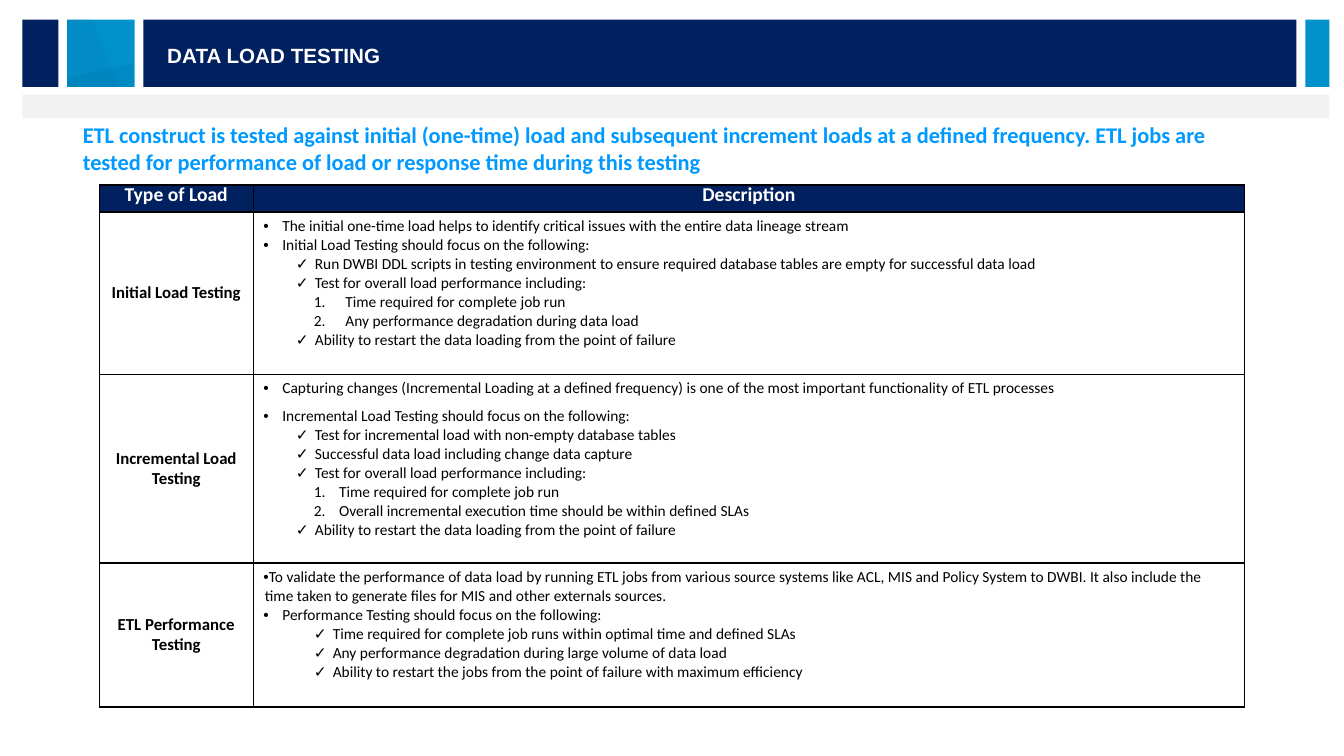
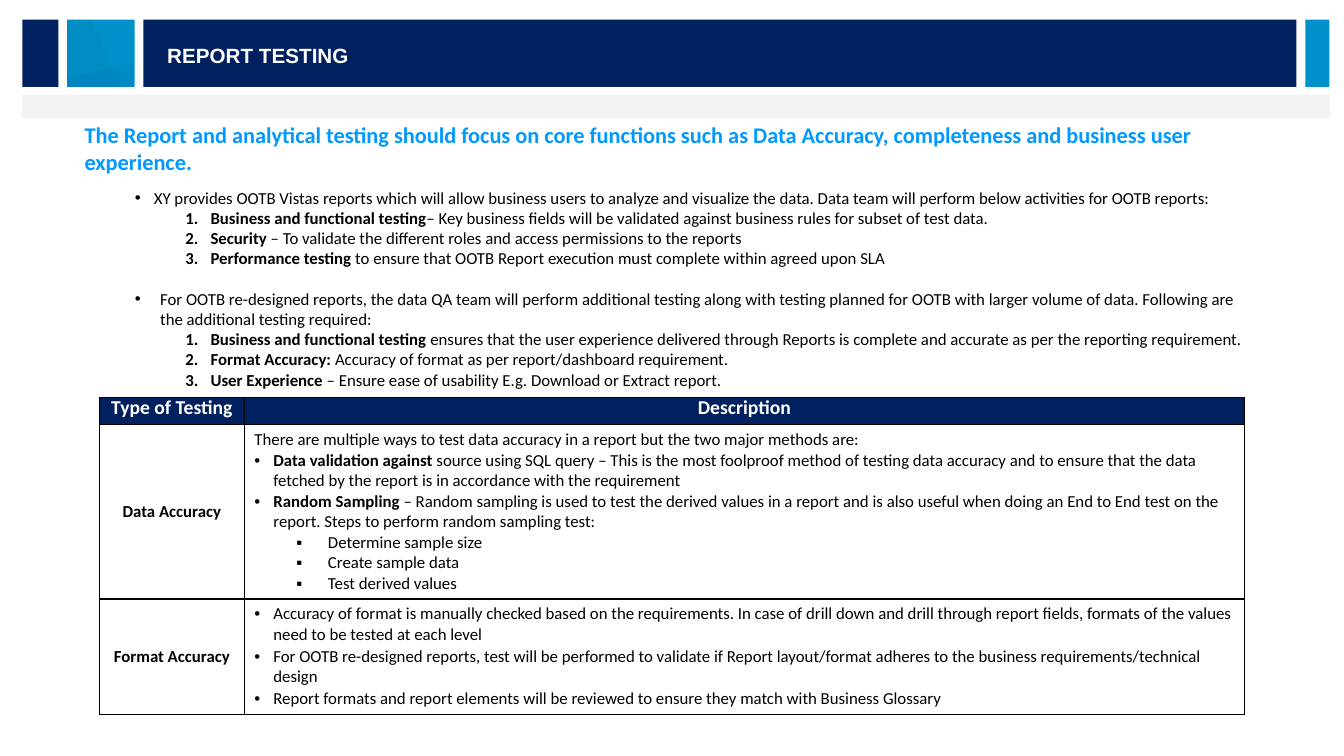
import pptx
import pptx.dml.color
import pptx.enum.shapes
import pptx.enum.text
import pptx.oxml
import pptx.oxml.ns
import pptx.util

Pt = pptx.util.Pt
ALIGN = pptx.enum.text.PP_ALIGN
ANCHOR = pptx.enum.text.MSO_ANCHOR

NUMBER = "number"
LIST_STYLES = {
    "plain": (0, 0, 0, None),
    "bullet": (0, 13.5, -13.5, "•"),
    "tight bullet": (0, 1, -1, "•"),
    "check": (1, 36.7, -13.5, "✓"),
    "deep check": (2, 49.5, -13.5, "✓"),
    "wide number": (2, 58.5, -22.5, NUMBER),
    "number": (2, 54, -18, NUMBER),
    "square": (1, 52.5, -22.5, "▪"),
    "lead bullet": (1, 49.5, -13.5, "•"),
    "wide lead bullet": (1, 54, -18, "•"),
    "lead number": (2, 90, -18, NUMBER),
}


def color(value):
    return pptx.dml.color.RGBColor.from_string(value)


def add_element(parent, tag, **attributes):
    element = pptx.oxml.parse_xml(f"<a:{tag} {pptx.oxml.ns.nsdecls('a')}/>")
    for name, value in attributes.items():
        element.set(name, str(value))
    parent.append(element)
    return element


def write(frame, text, style="plain", size=12, ink="000000", bold=False, font="Calibri",
          align=ALIGN.LEFT, before=None, after=None, line=None):
    paragraph = frame.paragraphs[0]
    if paragraph.runs:
        paragraph = frame.add_paragraph()
    level, left, indent, mark = LIST_STYLES[style]
    paragraph.level = level
    properties = paragraph._p.get_or_add_pPr()
    properties.set("marL", str(int(Pt(left))))
    properties.set("indent", str(int(Pt(indent))))
    if mark == NUMBER:
        add_element(properties, "buFont", typeface="+mj-lt")
        add_element(properties, "buAutoNum", type="arabicPeriod")
    elif mark:
        add_element(properties, "buFont", typeface="Arial")
        add_element(properties, "buChar", char=mark)
    else:
        add_element(properties, "buNone")
    paragraph.alignment = align
    for name, value in (("space_before", before), ("space_after", after), ("line_spacing", line)):
        if value is not None:
            setattr(paragraph, name, Pt(value))
    strong, separator, rest = text.rpartition("|")
    for part, is_bold in ((strong, True), (rest, bold)):
        if part:
            run = paragraph.add_run()
            run.text = part
            run.font.size = Pt(size)
            run.font.name = font
            run.font.bold = is_bold
            run.font.color.rgb = color(ink)


class Deck:
    """Hold the style and the current slide, and draw each kind of element."""

    NAVY = "002060"
    BLUE = "0091CB"
    SKY = "0099FF"
    GRAY = "F2F2F2"
    WHITE = "FFFFFF"
    BLACK = "000000"
    BAND_TOP = 14
    BAND_HEIGHT = 48.2

    def __init__(self):
        self.presentation = pptx.Presentation()
        self.presentation.slide_width = Pt(960)
        self.presentation.slide_height = Pt(540)
        self.slide = None

    def paint(self, shape, fill, alpha=None):
        shape.shadow.inherit = False
        shape.fill.solid()
        shape.fill.fore_color.rgb = color(fill)
        shape.line.fill.background()
        if alpha:
            solid = shape._element.spPr.find(pptx.oxml.ns.qn("a:solidFill"))
            add_element(solid[0], "alpha", val=alpha * 1000)

    def rectangle(self, left, top, width, height, fill):
        kind = pptx.enum.shapes.MSO_SHAPE.RECTANGLE
        shape = self.slide.shapes.add_shape(kind, Pt(left), Pt(top), Pt(width), Pt(height))
        self.paint(shape, fill)

    def facet(self, points, fill, alpha):
        corners = [(Pt(x), Pt(y)) for x, y in points]
        builder = self.slide.shapes.build_freeform(*corners[0], scale=1.0)
        builder.add_line_segments(corners[1:], close=True)
        self.paint(builder.convert_to_shape(), fill, alpha)

    def text_box(self, left, top, width, height, inset=0, anchor=ANCHOR.TOP):
        frame = self.slide.shapes.add_textbox(Pt(left), Pt(top), Pt(width), Pt(height)).text_frame
        frame.word_wrap = True
        frame.vertical_anchor = anchor
        frame.margin_left = frame.margin_right = Pt(inset)
        frame.margin_top = frame.margin_bottom = Pt(inset / 2)
        return frame

    def new_slide(self, title):
        self.slide = self.presentation.slides.add_slide(self.presentation.slide_layouts[6])
        for left, width, fill in ((102.4, 823.6, self.NAVY), (48, 48.2, self.BLUE),
                                  (16, 25.8, self.NAVY), (932.4, 17.2, self.BLUE)):
            self.rectangle(left, self.BAND_TOP, width, self.BAND_HEIGHT, fill)
        self.rectangle(16, 67.6, 933.6, 17, self.GRAY)
        bottom = self.BAND_TOP + self.BAND_HEIGHT
        self.facet([(48, self.BAND_TOP), (65.3, self.BAND_TOP), (85.2, bottom), (48, bottom)],
                   "17375E", 5)
        self.facet([(95.2, 45), (48.9, 56), (48.9, bottom), (95.2, bottom)], self.NAVY, 6)
        frame = self.text_box(112.4, 27.4, 592, 24, inset=7.2, anchor=ANCHOR.MIDDLE)
        write(frame, title, size=14.7, ink=self.WHITE, bold=True, font="Arial")

    def lead(self, left, width, height, text, items=()):
        frame = self.text_box(left, 86.6, width, height)
        write(frame, text, size=16, ink=self.SKY, bold=True, after=9)
        for style, item in items:
            write(frame, item, style, before=14.6 if style == "wide lead bullet" else None)

    def cell(self, cell, fill, anchor):
        properties = cell._tc.get_or_add_tcPr()
        for side in ("lnL", "lnR", "lnT", "lnB"):
            border = add_element(properties, side, w=int(Pt(1)))
            add_element(add_element(border, "solidFill"), "srgbClr", val=self.BLACK)
        cell.fill.solid()
        cell.fill.fore_color.rgb = color(fill)
        cell.vertical_anchor = anchor
        return cell.text_frame

    def table(self, left, top, widths, heights, headings, rows, size, after=()):
        frame = self.slide.shapes.add_table(len(heights), len(widths), Pt(left), Pt(top),
                                            Pt(sum(widths)), Pt(sum(heights)))
        table = frame.table
        table.horz_banding = False
        for column, width in zip(table.columns, widths):
            column.width = Pt(width)
        for row, height in zip(table.rows, heights):
            row.height = Pt(height)
        for index, heading in enumerate(headings):
            heading_frame = self.cell(table.cell(0, index), self.NAVY, ANCHOR.MIDDLE)
            write(heading_frame, heading, size=14, ink=self.WHITE, bold=True,
                  align=ALIGN.CENTER, line=12)
        for index, (label, items) in enumerate(rows, 1):
            label_frame = self.cell(table.cell(index, 0), self.WHITE, ANCHOR.MIDDLE)
            write(label_frame, label, bold=True, align=ALIGN.CENTER)
            body = self.cell(table.cell(index, 1), self.WHITE, ANCHOR.TOP)
            for position, (style, item) in enumerate(items):
                write(body, item, style, size, after=dict(after).get((index, position)))


RESTART = ("check", "Ability to restart the data loading from the point of failure")
PERFORMANCE = ("check", "Test for overall load performance including:")
JOB_RUN = "Time required for complete job run"

LOAD_ROWS = [
    ("Initial Load Testing", [
        ("bullet", "The initial one-time load helps to identify critical issues with the entire data lineage stream"),
        ("bullet", "Initial Load Testing should focus on the following:"),
        ("check", "Run DWBI DDL scripts in testing environment to ensure required database tables are empty for successful data load"),
        PERFORMANCE,
        ("wide number", JOB_RUN),
        ("wide number", "Any performance degradation during data load"),
        RESTART,
    ]),
    ("Incremental Load Testing", [
        ("bullet", "Capturing changes (Incremental Loading at a defined frequency) is one of the most important functionality of ETL processes"),
        ("bullet", "Incremental Load Testing should focus on the following:"),
        ("check", "Test for incremental load with non-empty database tables"),
        ("check", "Successful data load including change data capture"),
        PERFORMANCE,
        ("number", JOB_RUN),
        ("number", "Overall incremental execution time should be within defined SLAs"),
        RESTART,
    ]),
    ("ETL Performance Testing", [
        ("tight bullet", "To validate the performance of data load by running ETL jobs from various source systems like ACL, MIS and Policy System to DWBI. It also include the time taken to generate files for MIS and other externals sources."),
        ("bullet", "Performance Testing should focus on the following:"),
        ("deep check", "Time required for complete job runs within optimal time and defined SLAs"),
        ("deep check", "Any performance degradation during large volume of data load"),
        ("deep check", "Ability to restart the jobs from the point of failure with maximum efficiency"),
    ]),
]

REPORT_ITEMS = [
    ("lead bullet", "XY provides OOTB Vistas reports which will allow business users to analyze and visualize the data. Data team will perform below activities for OOTB reports:"),
    ("lead number", "Business and functional testing|– Key business fields will be validated against business rules for subset of test data."),
    ("lead number", "Security |– To validate the different roles and access permissions to the reports"),
    ("lead number", "Performance testing |to ensure that OOTB Report execution must complete within agreed upon SLA"),
    ("wide lead bullet", "For OOTB re-designed reports, the data QA team will perform additional testing along with testing planned for OOTB with larger volume of data. Following are the additional testing required:"),
    ("lead number", "Business and functional testing |ensures that the user experience delivered through Reports is complete and accurate as per the reporting requirement."),
    ("lead number", "Format Accuracy: |Accuracy of format as per report/dashboard requirement."),
    ("lead number", "User Experience |– Ensure ease of usability E.g. Download or Extract report."),
]

REPORT_ROWS = [
    ("Data Accuracy", [
        ("plain", "There are multiple ways to test data accuracy in a report but the two major methods are:"),
        ("bullet", "Data validation against |source using SQL query – This is the most foolproof method of testing data accuracy and to ensure that the data fetched by the report is in accordance with the requirement"),
        ("bullet", "Random Sampling |– Random sampling is used to test the derived values in a report and is also useful when doing an End to End test on the report. Steps to perform random sampling test:"),
        ("square", "Determine sample size"),
        ("square", "Create sample data"),
        ("square", "Test derived values"),
    ]),
    ("Format Accuracy", [
        ("bullet", "Accuracy of format is manually checked based on the requirements. In case of drill down and drill through report fields, formats of the values need to be tested at each level"),
        ("bullet", "For OOTB re-designed reports, test will be performed to validate if Report layout/format adheres to the business requirements/technical design"),
        ("bullet", "Report formats and report elements will be reviewed to ensure they match with Business Glossary"),
    ]),
]


def main():
    deck = Deck()
    deck.new_slide("DATA LOAD TESTING")
    deck.lead(59.2, 841.6, 35.4, "ETL construct is tested against initial (one-time) load and subsequent increment loads at a defined frequency. ETL jobs are tested for performance of load or response time during this testing")
    deck.table(70.8, 132.2, (110.2, 708), (19.2, 115.8, 135, 102.8),
               ("Type of Load", "Description"), LOAD_ROWS, 11, {(2, 0): 6})

    deck.new_slide("REPORT TESTING")
    deck.lead(60.4, 839.6, 194.4, "The Report and analytical testing should focus on core functions such as Data Accuracy, completeness and business user experience.", REPORT_ITEMS)
    deck.table(71, 284.2, (103.6, 714.4), (19.2, 124.4, 82.8),
               ("Type of Testing", "Description"), REPORT_ROWS, 12,
               {(2, position): 1 for position in range(3)})
    deck.presentation.save("out.pptx")


if __name__ == "__main__":
    main()
